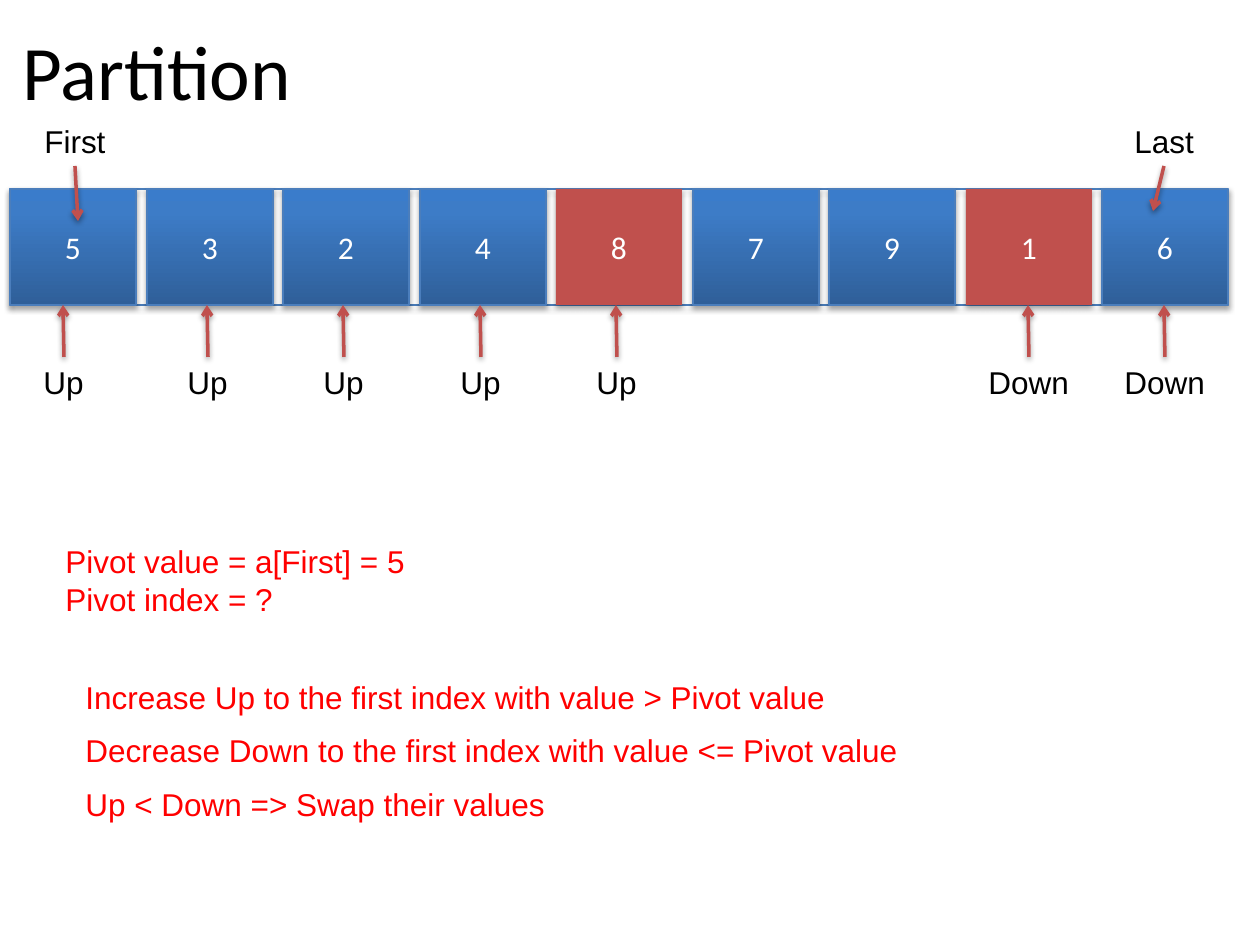
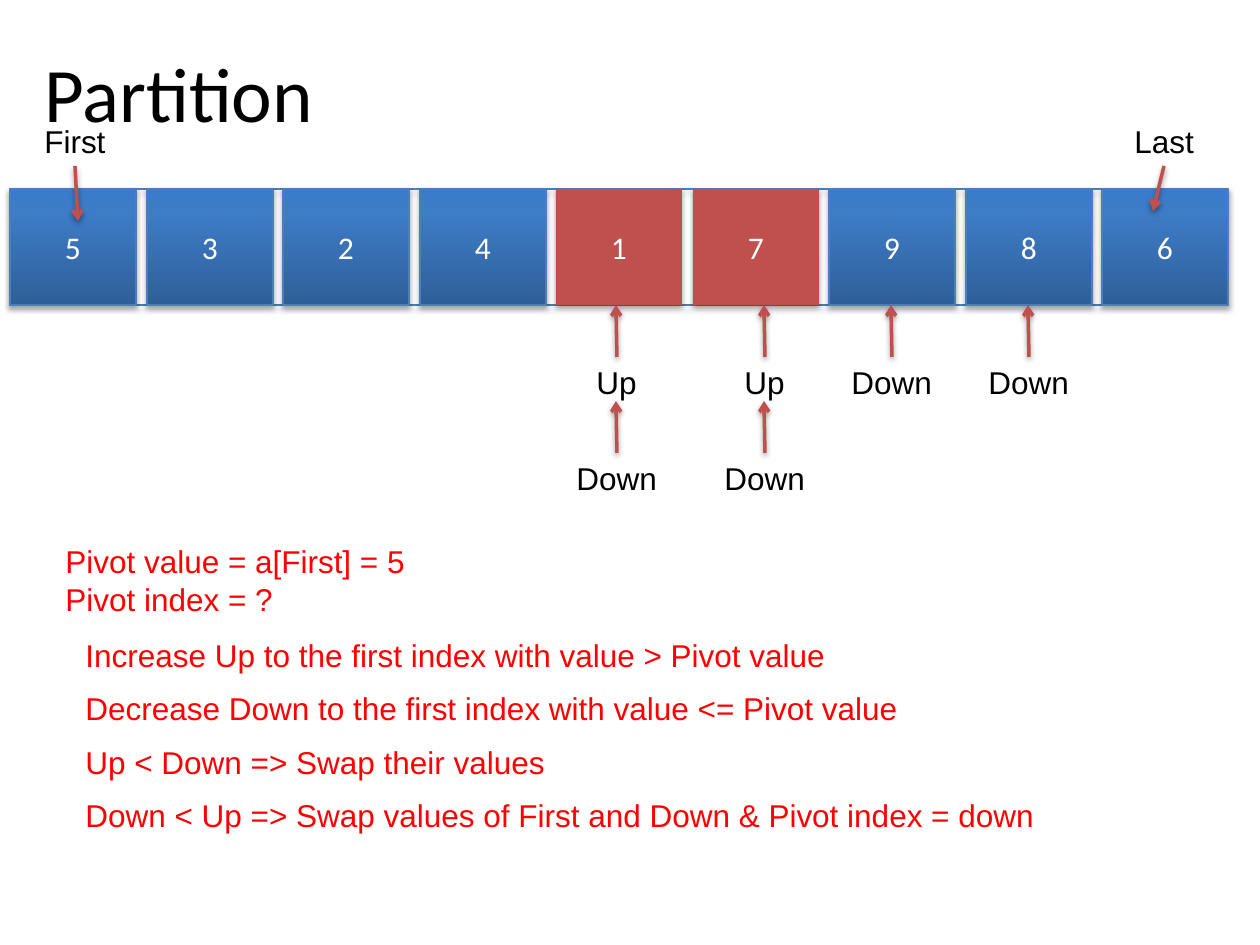
from copy import deepcopy
from dataclasses import dataclass

from lxml.etree import SubElement
from pptx import Presentation
from pptx.dml.color import RGBColor as RGB
from pptx.enum.shapes import MSO_CONNECTOR as CONN, MSO_SHAPE as SHAPE
from pptx.enum.text import MSO_ANCHOR as ANCHOR, MSO_AUTO_SIZE as AUTO, PP_ALIGN as ALIGN
from pptx.oxml.ns import qn
from pptx.util import Emu, Pt

SCALE = 914400 / 126


def px(n):
    return Emu(round(n * SCALE))


@dataclass(frozen=True)
class Theme:
    ink: RGB = RGB(0, 0, 0)
    note: RGB = RGB(255, 0, 0)
    white: RGB = RGB(255, 255, 255)
    accent: RGB = RGB(0xC0, 0x50, 0x4D)
    edge: RGB = RGB(0x4B, 0x7E, 0xBC)
    stops: tuple = ((0, "2F5F99"), (0.8, "3D7CC7"), (1, "3A7CCB"))
    heading_font: str = "Calibri"
    body_font: str = "Arial"
    title_size: Pt = Pt(44)
    body_size: Pt = Pt(18)
    edge_width: Pt = Pt(0.75)
    arrow_width: Pt = Pt(2)


class Deck:
    ROW_TOP, ROW_HEIGHT = 189, 116
    LABEL_WIDTH = {"Up": 66, "Down": 107, "First": 87, "Last": 86}

    def __init__(self, theme):
        self.theme = theme
        self.prs = Presentation()
        self.prs.slide_width, self.prs.slide_height = px(1260), px(945)
        self.slide = None

    def new_slide(self):
        self.slide = self.prs.slides.add_slide(self.prs.slide_layouts[6])

    def style(self, p, font, size, color):
        p.font.name, p.font.size, p.font.color.rgb = font, size, color

    def shadow(self, sp, distance, alpha):
        spPr = sp.element.spPr
        effects = spPr.find(qn("a:effectLst"))
        if effects is None:
            effects = SubElement(spPr, qn("a:effectLst"))
        outer = SubElement(effects, qn("a:outerShdw"), blurRad="40000",
                           dist=str(distance), dir="5400000", rotWithShape="0")
        color = SubElement(outer, qn("a:srgbClr"), val="000000")
        SubElement(color, qn("a:alpha"), val=str(alpha * 1000))

    def title(self, text, x, y):
        box = self.slide.shapes.add_textbox(px(x), px(y), px(1228), px(120))
        tf = box.text_frame
        tf.word_wrap, tf.vertical_anchor = True, ANCHOR.MIDDLE
        tf.text = text
        t = self.theme
        self.style(tf.paragraphs[0], t.heading_font, t.title_size, t.ink)

    def text(self, lines, x, y, w, h=50, color=None):
        box = self.slide.shapes.add_textbox(px(x), px(y), px(w), px(h))
        tf = box.text_frame
        tf.word_wrap, tf.auto_size = False, AUTO.SHAPE_TO_FIT_TEXT
        tf.text = "\n".join(lines)
        t = self.theme
        for p in tf.paragraphs:
            self.style(p, t.body_font, t.body_size, color or t.ink)

    def label(self, text, x, y):
        self.text([text], x, y, self.LABEL_WIDTH[text])

    def arrow(self, x1, y1, x2, y2):
        line = self.slide.shapes.add_connector(CONN.STRAIGHT, px(x1), px(y1), px(x2), px(y2))
        line.line.color.rgb = self.theme.accent
        line.line.width = self.theme.arrow_width
        SubElement(line.line._get_or_add_ln(), qn("a:tailEnd"), type="arrow")
        self.shadow(line, 20000, 38)

    def box(self, x, w):
        sp = self.slide.shapes.add_shape(SHAPE.RECTANGLE, px(x), px(self.ROW_TOP),
                                         px(w), px(self.ROW_HEIGHT))
        sp.line.color.rgb, sp.line.width = self.theme.edge, self.theme.edge_width
        sp.shadow.inherit = False
        self.shadow(sp, 23000, 35)
        return sp

    def gradient(self, fill, sp):
        fill.gradient()
        fill.gradient_angle = 90
        stops = sp.element.spPr.find(".//" + qn("a:gsLst"))
        stops.append(deepcopy(stops[-1]))
        for stop, (position, color) in zip(fill.gradient_stops, self.theme.stops):
            stop.position, stop.color.rgb = position, RGB.from_string(color)

    def cell(self, index, value, marked):
        sp = self.box((21 + 273 * index) // 2, 126)
        if marked:
            sp.fill.solid()
            sp.fill.fore_color.rgb = self.theme.accent
            sp.line.fill.background()
        else:
            self.gradient(sp.fill, sp)
        tf = sp.text_frame
        tf.vertical_anchor = ANCHOR.MIDDLE
        tf.text = str(value)
        p = tf.paragraphs[0]
        p.alignment = ALIGN.CENTER
        self.style(p, self.theme.heading_font, self.theme.body_size, self.theme.white)

    def array(self, values, marked):
        self.box(10, 1218).fill.background()
        for i, value in enumerate(values):
            self.cell(i, value, i in marked)
        self.label("First", 32, 116)
        self.arrow(75, 166, 78, 221)
        self.label("Last", 1122, 116)
        self.arrow(1164, 166, 1153, 211)

    def marker(self, text, index, shift=0, level=0):
        center = (147 + 273 * index) // 2 + shift
        y = 357 + 96 * level
        self.label(text, center - self.LABEL_WIDTH[text] // 2, y)
        self.arrow(center, y, center - 1, y - 52)

    def notes(self, rules, y):
        color = self.theme.note
        self.text(["Pivot value = a[First] = 5", "Pivot index = ?"], 53, 536, 368, 89, color)
        for i, (rule, w) in enumerate(rules):
            self.text([rule], 73, y + 107 * i // 2, w, color=color)


RULES = [
    ("Increase Up to the first index with value > Pivot value", 772),
    ("Decrease Down to the first index with value <= Pivot value", 845),
    ("Up < Down => Swap their values", 490),
]
CROSSED = ("Down < Up => Swap values of First and Down & Pivot index = down", 984)

deck = Deck(Theme())

deck.new_slide()
deck.title("Partition", 10, 10)
deck.array([5, 3, 2, 4, 8, 7, 9, 1, 6], marked={4, 7})
deck.marker("Up", 0, -9)
for index in range(1, 5):
    deck.marker("Up", index, -2)
for index in (8, 7):
    deck.marker("Down", index)
deck.notes(RULES, 672)

deck.new_slide()
deck.title("Partition", 32, 32)
deck.array([5, 3, 2, 4, 1, 7, 9, 8, 6], marked={4, 5})
for index, shift in ((4, -2), (5, 9)):
    deck.marker("Up", index, shift)
    deck.marker("Down", index, shift, level=1)
for index in (7, 6):
    deck.marker("Down", index)
deck.notes(RULES + [CROSSED], 630)

deck.prs.save("out.pptx")
